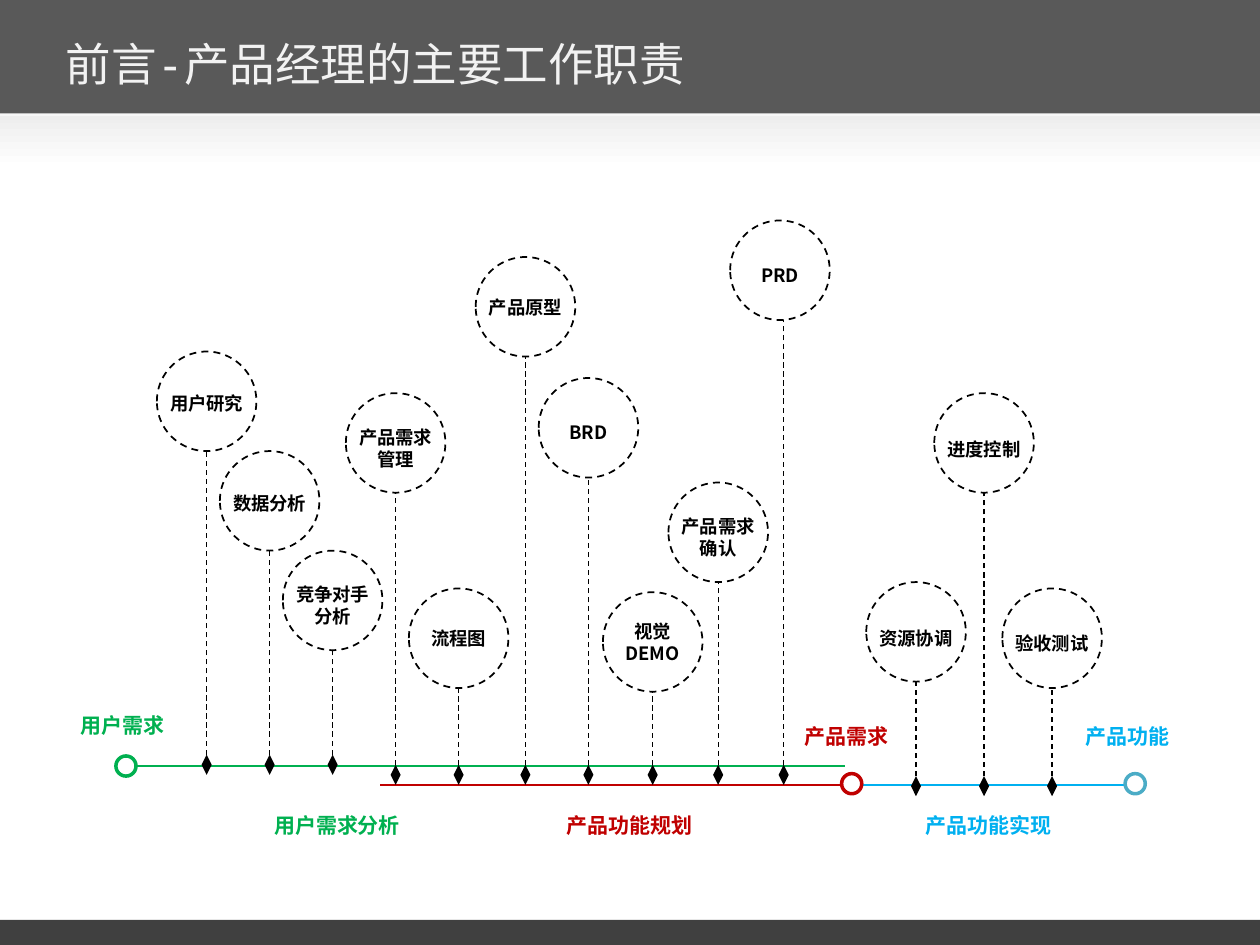
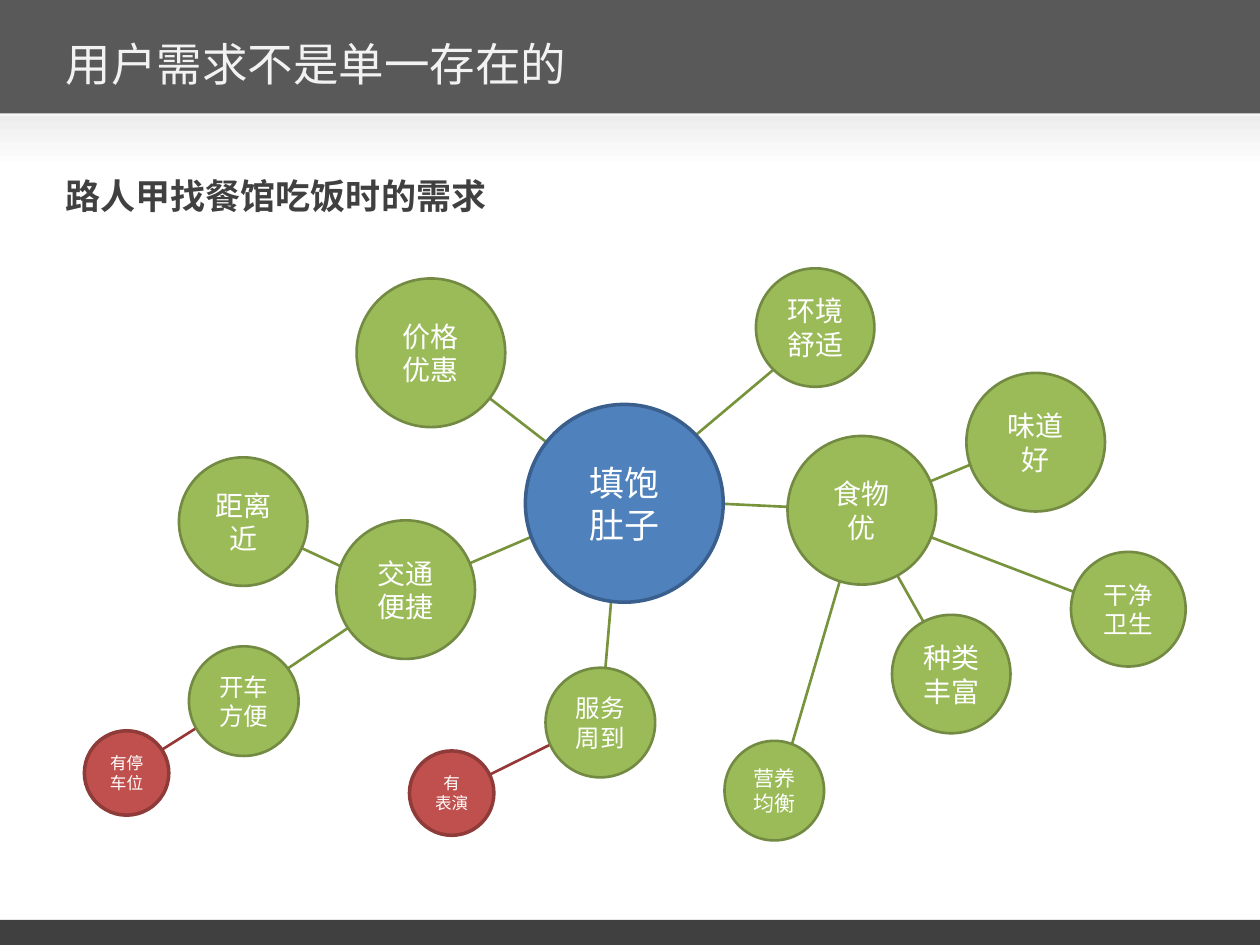
from dataclasses import dataclass

from lxml import etree
from pptx import Presentation
from pptx.dml.color import RGBColor
from pptx.enum import dml, shapes, text
from pptx.oxml.ns import qn
from pptx.util import Inches, Pt

SHAPE = shapes.MSO_SHAPE
CENTER = text.PP_ALIGN.CENTER
MIDDLE = text.MSO_ANCHOR.MIDDLE


@dataclass(frozen=True)
class Theme:
    title_font: str = "DejaVu Sans Mono"
    text_font: str = "Noto Sans CJK SC"
    title_size: float = 26
    heading_size: float = 20
    phase_size: float = 12
    task_size: float = 10.5
    title: str = "F2F2F2"
    title_band: str = "595959"
    title_edge: str = "F7F7F7"
    shade: str = "EEEEEE"
    dark: str = "404040"
    white: str = "FFFFFF"
    black: str = "000000"
    green: str = "00B050"
    red: str = "C00000"
    blue: str = "00B0F0"
    teal: str = "4BACC6"


THEME = Theme()

# Bubble kind: fill, outline, outline width, link colour
BUBBLE_STYLES = {
    "core": ("4F81BD", "3A5F8C", 2, None),
    "need": ("9BBB59", "738A42", 1.5, "77933C"),
    "extra": ("C0504D", "8E3B39", 2, "953735"),
}


@dataclass
class Task:
    label: str
    x: float
    circle_top: float
    label_top: float
    marker_top: float
    label_width: float = 0.8
    shift: float = 0


@dataclass
class Bubble:
    """A need; joint is the point where its links meet."""
    label: str
    left: float
    top: float
    diameter: float
    size: float
    joint: tuple
    parent: str = ""
    kind: str = "need"


CIRCLE = 0.79
MARKER_WIDTH, MARKER_HEIGHT = 0.08, 0.16
GREEN_MARKERS, RED_MARKERS, BLUE_MARKERS = 5.99, 6.07, 6.16

TASKS = [
    Task("用户研究", 1.64, 2.79, 3.06, GREEN_MARKERS),
    Task("数据分析", 2.14, 3.58, 3.86, GREEN_MARKERS),
    Task("竞争对手\n分析", 2.64, 4.37, 4.58, GREEN_MARKERS),
    Task("产品需求\n管理", 3.14, 3.12, 3.33, RED_MARKERS, 1.1),
    Task("流程图", 3.64, 4.67, 4.93, RED_MARKERS, 0.71),
    Task("产品原型", 4.17, 2.04, 2.3, RED_MARKERS, 0.87),
    Task("BRD", 4.67, 3, 3.29, RED_MARKERS, 0.71),
    Task("视觉\nDEMO", 5.18, 4.7, 4.87, RED_MARKERS, 0.94),
    Task("产品需求\n确认", 5.7, 3.83, 4.04, RED_MARKERS, 1.02),
    Task("PRD", 6.22, 1.75, 2.05, RED_MARKERS, 0.71, -0.03),
    Task("资源协调", 7.27, 4.62, 4.93, BLUE_MARKERS),
    Task("进度控制", 7.81, 3.12, 3.43, BLUE_MARKERS),
    Task("验收测试", 8.35, 4.67, 4.97, BLUE_MARKERS),
]

# Phase lines: start, end, height, colour
PHASE_LINES = [
    (1, 6.71, 6.08, THEME.green),
    (6.79, 8.99, 6.23, THEME.blue),
    (3.02, 6.69, 6.23, THEME.red),
]

# Rings on the phase lines: left, top, colour
RINGS = [
    (0.92, 6, THEME.green),
    (6.68, 6.14, THEME.red),
    (8.93, 6.14, THEME.teal),
]

# Phase labels: text, left, top, width, colour
PHASE_LABELS = [
    ("用户需求", 0.42, 5.61, 1.1, THEME.green),
    ("产品需求", 6.17, 5.69, 1.1, THEME.red),
    ("产品功能", 8.4, 5.69, 1.1, THEME.blue),
    ("用户需求分析", 1.85, 6.4, 1.65, THEME.green),
    ("产品功能规划", 4.17, 6.4, 1.65, THEME.red),
    ("产品功能实现", 6.94, 6.4, 1.81, THEME.blue),
]

BUBBLES = [
    Bubble("填饱\n肚子", 4.17, 3.21, 1.57, 20, (4.92, 3.96), kind="core"),
    Bubble("价格\n优惠", 2.83, 2.21, 1.18, 16, (3.42, 2.8), "填饱\n肚子"),
    Bubble("环境\n舒适", 6, 2.13, 0.94, 16, (6.5, 2.63), "填饱\n肚子"),
    Bubble("服务\n周到", 4.33, 5.3, 0.87, 14, (4.77, 5.71), "填饱\n肚子"),
    Bubble("交通\n便捷", 2.67, 4.13, 1.1, 16, (3.17, 4.71), "填饱\n肚子"),
    Bubble("食物\n优", 6.25, 3.46, 1.18, 16, (6.83, 4.05), "填饱\n肚子"),
    Bubble("距离近", 1.42, 3.63, 1.02, 16, (1.92, 4.13), "交通\n便捷"),
    Bubble("味道好", 7.67, 2.96, 1.1, 16, (8.25, 3.46), "食物\n优"),
    Bubble("种类丰富", 7.08, 4.88, 0.94, 16, (7.58, 5.38), "食物\n优"),
    Bubble("干净卫生", 8.5, 4.38, 0.91, 14, (9, 4.88), "食物\n优"),
    Bubble("营养均衡", 5.75, 5.88, 0.79, 12, (6.17, 6.3), "食物\n优"),
    Bubble("有\n表演", 3.25, 5.96, 0.67, 9.5, (3.58, 6.3), "服务\n周到", "extra"),
    Bubble("开车\n方便", 1.5, 5.13, 0.87, 14, (1.92, 5.55), "交通\n便捷"),
    Bubble("有停车位", 0.67, 5.8, 0.67, 9.5, (1, 6.13), "开车\n方便", "extra"),
]


def set_values(target, values):
    for name, value in values.items():
        setattr(target, name, value)


def place(shape, left, top, width, height):
    set_values(shape, {"left": Inches(left), "top": Inches(top),
                       "width": Inches(width), "height": Inches(height)})


def write(frame, content, size, color, bold=False, font=THEME.text_font,
          align=CENTER, anchor=MIDDLE):
    """Fill a text frame, one paragraph for each line of content."""
    set_values(frame, {"text": content, "word_wrap": True, "vertical_anchor": anchor})
    for paragraph in frame.paragraphs:
        paragraph.alignment = align
        for run in paragraph.runs:
            set_values(run.font, {"name": font, "size": Pt(size), "bold": bold})
            run.font.color.rgb = RGBColor.from_string(color)
            etree.SubElement(run.font._element, qn("a:ea"), typeface=font)


def add_shape(slide, kind, left, top, width, height, fill=None, line=None,
              line_width=1, dash=None):
    shape = slide.shapes.add_shape(kind, *map(Inches, (left, top, width, height)))
    shape.shadow.inherit = False
    if fill:
        shape.fill.solid()
        shape.fill.fore_color.rgb = RGBColor.from_string(fill)
    else:
        shape.fill.background()
    if line:
        shape.line.color.rgb = RGBColor.from_string(line)
        set_values(shape.line, {"width": Pt(line_width), "dash_style": dash})
    else:
        shape.line.fill.background()
    return shape


def add_line(slide, start, end, color, width=1.5, dash=None):
    connector = slide.shapes.add_connector(
        shapes.MSO_CONNECTOR.STRAIGHT, *map(Inches, (*start, *end)))
    connector.line.color.rgb = RGBColor.from_string(color)
    set_values(connector.line, {"width": Pt(width), "dash_style": dash})
    etree.SubElement(connector._element.spPr, qn("a:effectLst"))


def add_label(slide, content, left, top, width, height, size, color):
    box = slide.shapes.add_textbox(*map(Inches, (left, top, width, height)))
    write(box.text_frame, content, size, color, bold=True, anchor=text.MSO_ANCHOR.TOP)


def add_master_bands(presentation, slide):
    """Draw the bands on a slide, then move them behind the master's placeholders."""
    bands = [
        add_shape(slide, SHAPE.RECTANGLE, 0, 0, 10, 1, THEME.title_edge),
        add_shape(slide, SHAPE.RECTANGLE, 0, 7.3, 10, 0.2, THEME.dark),
        add_shape(slide, SHAPE.RECTANGLE, 0, 0, 10, 0.9, THEME.title_band),
        add_shape(slide, SHAPE.RECTANGLE, 0, 0.92, 10, 0.42, THEME.shade),
    ]
    shade = bands[-1].fill
    shade.gradient()
    shade.gradient_angle = 270
    for stop, color, position in zip(shade.gradient_stops, (THEME.shade, THEME.white), (0, 1)):
        stop.color.rgb = RGBColor.from_string(color)
        stop.position = position
    tree = presentation.slide_master.shapes._spTree
    for index, band in enumerate(bands, start=2):
        tree.insert(index, band._element)


def add_slide(presentation, layout_name, title):
    layout = presentation.slide_layouts.get_by_name(layout_name)
    slide = presentation.slides.add_slide(layout)
    place(slide.shapes.title, 0.42, 0.17, 8.08, 0.67)
    write(slide.shapes.title.text_frame, title, THEME.title_size, THEME.title,
          font=THEME.title_font, align=text.PP_ALIGN.LEFT)
    return slide


def add_heading(slide, content):
    body = slide.placeholders[1]
    place(body, 0.42, 1.25, 6.58, 0.5)
    write(body.text_frame, content, THEME.heading_size, THEME.dark, bold=True,
          align=text.PP_ALIGN.LEFT, anchor=text.MSO_ANCHOR.TOP)
    paragraph = body.text_frame.paragraphs[0]
    set_values(paragraph, {"line_spacing": 1.25, "space_before": Pt(0)})
    properties = paragraph._p.get_or_add_pPr()
    properties.set("marL", "0")
    properties.set("indent", "0")
    etree.SubElement(properties, qn("a:buNone"))


def add_task(slide, task):
    """Draw a dashed circle with its label, stem and marker on the phase line."""
    dash = dml.MSO_LINE.DASH
    center = task.x + task.shift
    add_shape(slide, SHAPE.FLOWCHART_SORT, task.x - MARKER_WIDTH / 2, task.marker_top,
              MARKER_WIDTH, MARKER_HEIGHT, THEME.black)
    add_line(slide, (task.x, task.marker_top), (task.x, task.circle_top + CIRCLE),
             THEME.black, 0.75, dash)
    add_shape(slide, SHAPE.OVAL, center - CIRCLE / 2, task.circle_top, CIRCLE, CIRCLE,
              line=THEME.black, dash=dash)
    height = 0.45 if "\n" in task.label else 0.28
    add_label(slide, task.label, center - task.label_width / 2, task.label_top,
              task.label_width, height, THEME.task_size, THEME.black)


def add_bubble(slide, bubble):
    fill, line, line_width, _ = BUBBLE_STYLES[bubble.kind]
    shape = add_shape(slide, SHAPE.OVAL, bubble.left, bubble.top, bubble.diameter,
                      bubble.diameter, fill, line, line_width)
    write(shape.text_frame, bubble.label, bubble.size, THEME.white)


def draw_timeline(slide):
    for start, end, height, color in PHASE_LINES:
        add_line(slide, (start, height), (end, height), color)
    for left, top, color in RINGS:
        add_shape(slide, SHAPE.FLOWCHART_CONNECTOR, left, top, 0.16, 0.16,
                  THEME.white, color, 2)
    for content, left, top, width, color in PHASE_LABELS:
        add_label(slide, content, left, top, width, 0.3, THEME.phase_size, color)
    for task in TASKS:
        add_task(slide, task)


def draw_needs(slide):
    joints = {bubble.label: bubble.joint for bubble in BUBBLES}
    for bubble in BUBBLES:
        if bubble.parent:
            add_line(slide, joints[bubble.parent], bubble.joint,
                     BUBBLE_STYLES[bubble.kind][-1])
    for bubble in BUBBLES:
        add_bubble(slide, bubble)


def main():
    presentation = Presentation()
    set_values(presentation, {"slide_width": Inches(10), "slide_height": Inches(7.5)})

    duties = add_slide(presentation, "Title Only", "前言-产品经理的主要工作职责")
    add_master_bands(presentation, duties)
    draw_timeline(duties)

    needs = add_slide(presentation, "Title and Content", "用户需求不是单一存在的")
    draw_needs(needs)
    add_heading(needs, "路人甲找餐馆吃饭时的需求")

    presentation.save("out.pptx")


if __name__ == "__main__":
    main()
